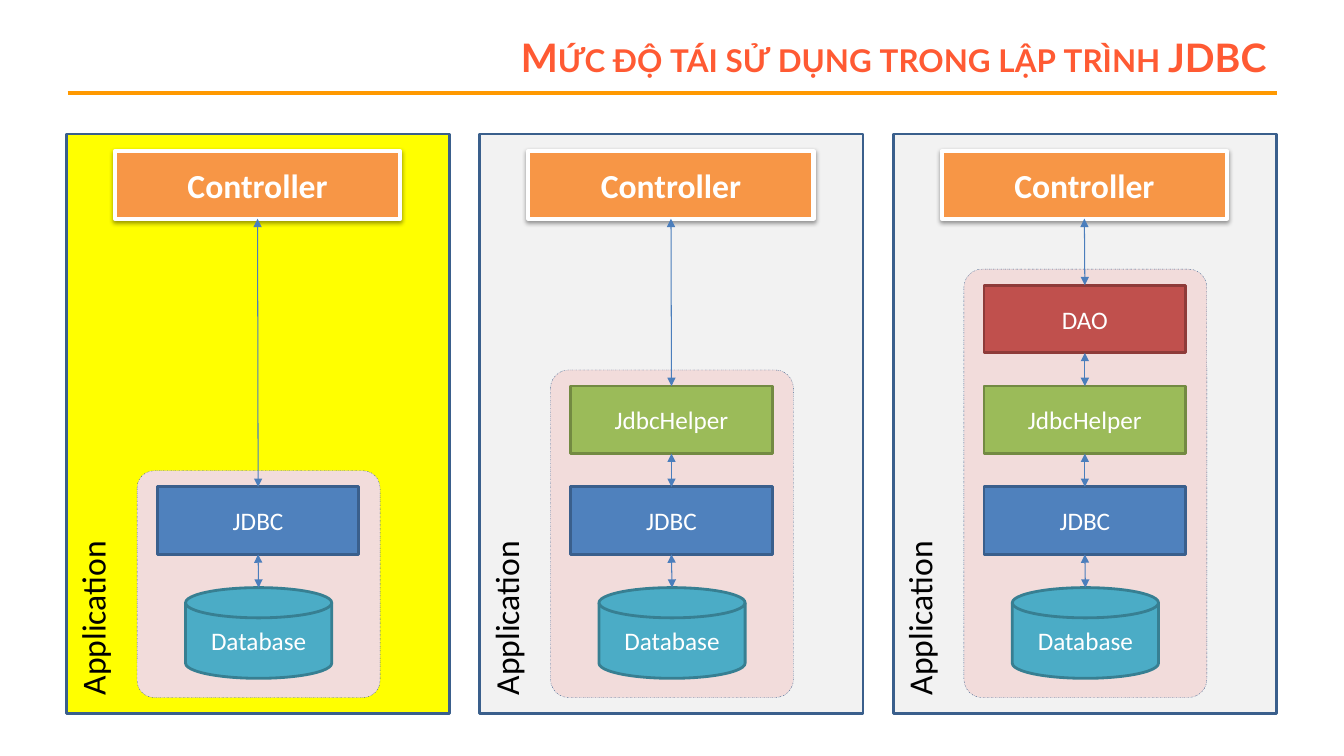
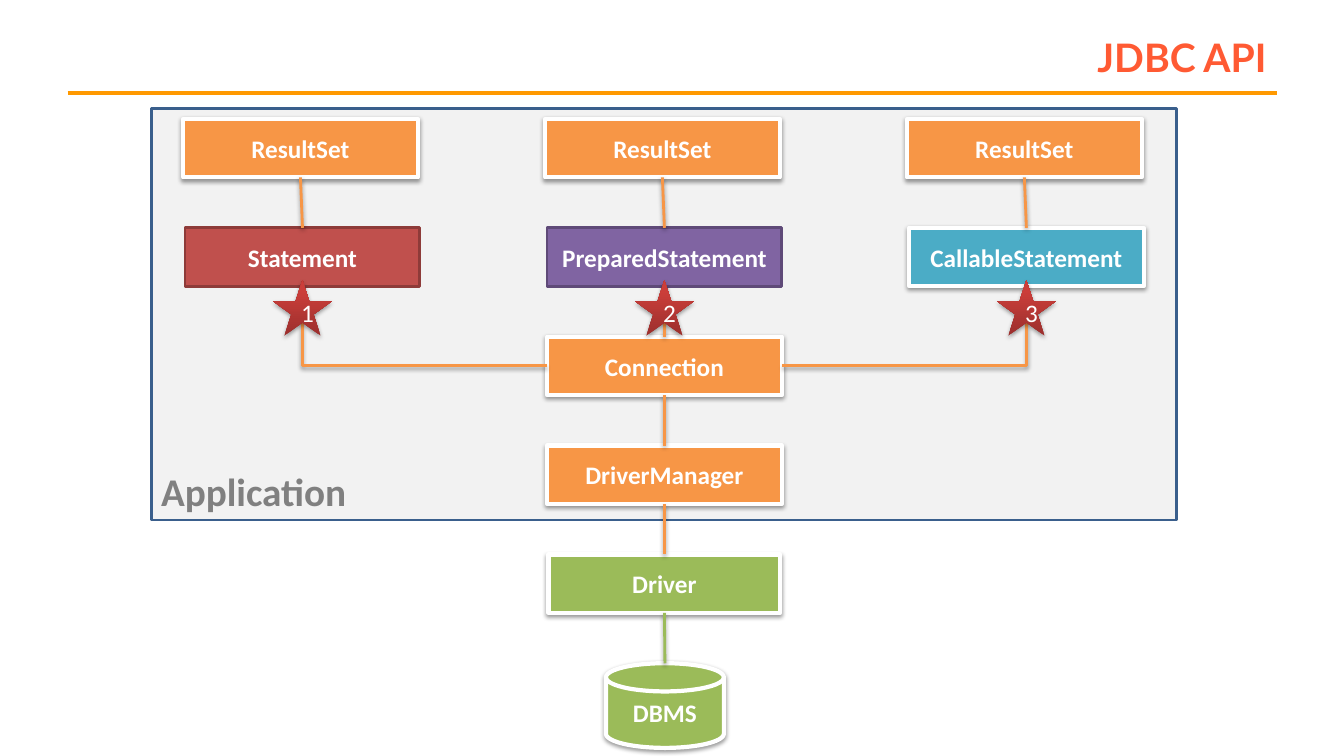
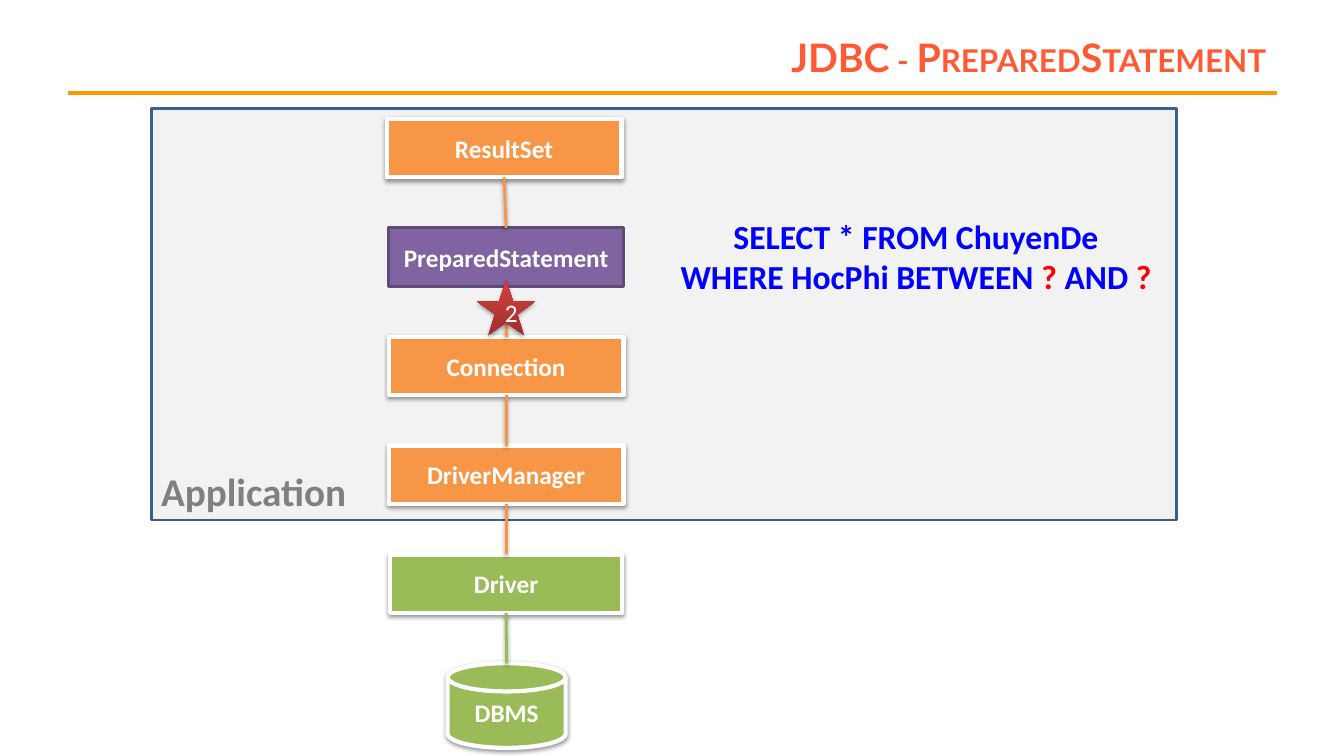
from collections import namedtuple

from lxml import etree
from pptx import Presentation
from pptx.dml.color import RGBColor
from pptx.enum.dml import MSO_LINE
from pptx.enum.shapes import MSO_CONNECTOR, MSO_SHAPE
from pptx.enum.text import MSO_ANCHOR, MSO_AUTO_SIZE, PP_ALIGN
from pptx.oxml.ns import qn
from pptx.util import Inches, Pt

RECT, ROUND = MSO_SHAPE.RECTANGLE, MSO_SHAPE.ROUNDED_RECTANGLE
DISK, STAR = MSO_SHAPE.FLOWCHART_MAGNETIC_DISK, MSO_SHAPE.STAR_5_POINT
STRAIGHT, ELBOW = MSO_CONNECTOR.STRAIGHT, MSO_CONNECTOR.ELBOW
LEFT, CENTER, RIGHT = PP_ALIGN.LEFT, PP_ALIGN.CENTER, PP_ALIGN.RIGHT
MIDDLE, TOP = MSO_ANCHOR.MIDDLE, MSO_ANCHOR.TOP
NO_FIT, DASH_DOT = MSO_AUTO_SIZE.NONE, MSO_LINE.DASH_DOT
TITLE_ONLY = 5
LEFT_SITE, BOTTOM_SITE, RIGHT_SITE = 1, 2, 3

Look = namedtuple("Look", "fill edge width shade")
Ink = namedtuple("Ink", "size color bold face", defaults=(False, "Calibri"))


def rgb(code):
    return RGBColor.from_string(code)


def flat(fill, edge):
    return Look(rgb(fill), rgb(edge), 2, False)


def raised(fill):
    return Look(rgb(fill), rgb("FFFFFF"), 3, True)


class Theme:
    rule = rgb("FF9900")
    arrow = rgb("4B7EBC")
    orange = rgb("F79646")
    green = rgb("9BBB59")
    mark = rgb("FF0000")
    dark, light = rgb("9C2F2D"), rgb("CB3E3A")

    gray_panel = flat("F2F2F2", "3A5F8C")
    hot_panel = flat("FFFF00", "3A5F8C")
    group = Look(rgb("F2DCDB"), rgb("3A5F8C"), 0.25, False)
    blue_box = flat("4F81BD", "3A5F8C")
    green_box = flat("9BBB59", "738A42")
    red_box = flat("C0504D", "8E3B39")
    violet_box = flat("8064A2", "5F4A78")
    teal_disk = flat("4BACC6", "377F92")
    orange_card = raised("F79646")
    green_card = raised("9BBB59")
    teal_card = raised("4BACC6")

    title = Ink(28, rgb("FF5A33"), True, "Lato")
    layer = Ink(18, rgb("FFFFFF"))
    card = Ink(18, rgb("FFFFFF"), True)
    head = Ink(24, rgb("FFFFFF"), True)
    side = Ink(24, rgb("000000"))
    corner = Ink(28, rgb("808080"), True)
    sql = Ink(24, rgb("0000FF"), True)


class Deck:
    def __init__(self):
        self.prs = Presentation()
        self.prs.slide_width = Inches(13.33)
        self.prs.slide_height = Inches(7.5)

    def page(self, title):
        layout = self.prs.slide_layouts[TITLE_ONLY]
        self.shapes = self.prs.slides.add_slide(layout).shapes
        self.line(STRAIGHT, [Inches(v) for v in (0.67, 0.92, 12.67, 0.92)],
                  Theme.rule, 3)
        head = self.shapes.title
        head.left, head.top = Inches(2.44), Inches(0.3)
        head.width, head.height = Inches(10.22), Inches(0.53)
        self.letter(head, [title], Theme.title, RIGHT)
        para = head.text_frame.paragraphs[0]
        para._p.pPr.find(qn("a:defRPr")).set("cap", "small")

    def letter(self, shape, lines, ink, align=CENTER, anchor=MIDDLE, wrap=True):
        """Fill a shape with lines; a question mark in a line is highlighted."""
        frame = shape.text_frame
        frame.word_wrap, frame.vertical_anchor = wrap, anchor
        frame.auto_size = NO_FIT
        for i, line in enumerate(lines):
            para = frame.add_paragraph() if i else frame.paragraphs[0]
            para.alignment = align
            font = para.font
            font.size, font.bold, font.name = Pt(ink.size), ink.bold, ink.face
            font.color.rgb = ink.color
            for j, part in enumerate(line.split("?")):
                if j:
                    run = para.add_run()
                    run.text = "?"
                    run.font.color.rgb = Theme.mark
                if part:
                    para.add_run().text = part

    def effect(self, shape, shade):
        """Replace the inherited shadow by a soft one below, or by none."""
        fx = etree.SubElement(shape._element.spPr, qn("a:effectLst"))
        if shade:
            drop = etree.SubElement(fx, qn("a:outerShdw"), blurRad="40000",
                                    dist="20000", dir="5400000", rotWithShape="0")
            color = etree.SubElement(drop, qn("a:srgbClr"), val="000000")
            etree.SubElement(color, qn("a:alpha"), val="38000")

    def box(self, kind, x, y, w, h, look, text="", ink=None):
        shape = self.shapes.add_shape(kind, Inches(x), Inches(y), Inches(w), Inches(h))
        shape.fill.solid()
        shape.fill.fore_color.rgb = look.fill
        shape.line.color.rgb = look.edge
        shape.line.width = Pt(look.width)
        self.effect(shape, look.shade)
        if text:
            self.letter(shape, [text], ink)
        return shape

    def star(self, cx, text):
        shape = self.shapes.add_shape(STAR, Inches(cx - 0.29), Inches(2.78),
                                      Inches(0.58), Inches(0.55))
        shape.fill.gradient()
        shape.fill.gradient_angle = 90
        low, high = shape.fill.gradient_stops
        low.color.rgb, low.position = Theme.dark, 0
        high.color.rgb, high.position = Theme.light, 0.8
        shape.line.fill.background()
        self.effect(shape, True)
        self.letter(shape, [text], Theme.layer)

    def note(self, x, y, w, h, lines, ink, align=LEFT):
        shape = self.shapes.add_textbox(Inches(x), Inches(y), Inches(w), Inches(h))
        self.letter(shape, lines, ink, align, TOP, wrap=False)
        return shape

    def line(self, kind, ends, color, width, shade=False, heads=False):
        line = self.shapes.add_connector(kind, *ends)
        line.line.color.rgb = color
        line.line.width = Pt(width)
        if heads:
            for end in ("a:headEnd", "a:tailEnd"):
                etree.SubElement(line._element.spPr.find(qn("a:ln")), qn(end),
                                 type="triangle")
        self.effect(line, shade)
        return line

    def link(self, upper, lower, *style, **more):
        """Join the bottom of one shape to the top of another."""
        ends = (upper.left + upper.width // 2, upper.top + upper.height,
                lower.left + lower.width // 2, lower.top)
        self.line(STRAIGHT, ends, *style, **more)

    def bend(self, start, site, end):
        """Join a side of one shape to the bottom of another by one corner."""
        line = self.line(ELBOW, (0, 0, 0, 0), Theme.orange, 2, shade=True)
        line.begin_connect(start, site)
        line.end_connect(end, BOTTOM_SITE)
        geom = line._element.spPr.find(qn("a:prstGeom"))
        geom.set("prst", "bentConnector2")


def stack(deck, x, look, layers):
    """Draw one application panel with its layers, listed from the top."""
    cx, top = x + 1.9, 5.83 - len(layers)
    deck.box(RECT, x, 1.33, 3.8, 5.75, look)
    group = deck.box(ROUND, cx - 1.2, top - 0.16, 2.41, 7.08 - top, Theme.group)
    group.adjustments[0] = 0.075
    group.line.dash_style = DASH_DOT
    chain = [deck.box(RECT, cx - 1.42, 1.5, 2.83, 0.67, Theme.orange_card,
                      "Controller", Theme.head)]
    for i, (name, tint) in enumerate(layers):
        chain.append(deck.box(RECT, cx - 1, top + i, 2, 0.67, tint, name, Theme.layer))
    chain.append(deck.box(DISK, cx - 0.72, 5.83, 1.45, 0.9, Theme.teal_disk,
                          "Database", Theme.layer))
    for upper, lower in zip(chain, chain[1:]):
        deck.link(upper, lower, Theme.arrow, 0.75, heads=True)
    deck.note(x - 0.62, 5.87, 1.75, 0.5, ["Application"], Theme.side).rotation = 270


def frame(deck, title):
    deck.page(title)
    deck.box(RECT, 1.5, 1.08, 10.17, 4.08, Theme.gray_panel)
    deck.note(1.5, 4.59, 2.06, 0.57, ["Application"], Theme.corner)


def card(deck, cx, row, look, text, width=2.33):
    return deck.box(RECT, cx - width / 2, 1.18 + 1.08 * row, width, 0.58, look,
                    text, Theme.card)


def query(deck, cx, name, look):
    """Draw a result set above its statement, and return the statement."""
    result = card(deck, cx - 0.02, 0, Theme.orange_card, "ResultSet")
    state = card(deck, cx, 1, look, name)
    deck.link(result, state, Theme.orange, 2, shade=True)
    return state


def spine(deck, cx, state):
    """Draw the way from a statement to the database; return the connection."""
    conn = card(deck, cx, 2, Theme.orange_card, "Connection")
    boss = card(deck, cx, 3, Theme.orange_card, "DriverManager")
    driver = card(deck, cx, 4, Theme.green_card, "Driver", 2.3)
    disk = deck.box(DISK, cx - 0.58, 6.58, 1.17, 0.84, Theme.green_card, "DBMS",
                    Theme.card)
    for upper, lower in ((state, conn), (conn, boss), (boss, driver)):
        deck.link(upper, lower, Theme.orange, 2, shade=True)
    deck.link(driver, disk, Theme.green, 2, shade=True)
    return conn


def main():
    deck = Deck()

    deck.page("Mức độ tái sử dụng trong lập trình JDBC")
    layers = [("DAO", Theme.red_box), ("JdbcHelper", Theme.green_box),
              ("JDBC", Theme.blue_box)]
    for i, look in enumerate((Theme.hot_panel, Theme.gray_panel, Theme.gray_panel)):
        stack(deck, 0.66 + 4.1 * i, look, layers[2 - i:])

    frame(deck, "JDBC API")
    kinds = [("Statement", Theme.red_box), ("PreparedStatement", Theme.violet_box),
             ("CallableStatement", Theme.teal_card)]
    mids = [3 + 3.59 * i for i in range(3)]
    first, second, third = [query(deck, cx, *kind) for cx, kind in zip(mids, kinds)]
    conn = spine(deck, mids[1], second)
    deck.bend(conn, LEFT_SITE, first)
    deck.bend(conn, RIGHT_SITE, third)
    for i, cx in enumerate(mids, 1):
        deck.star(cx, str(i))

    frame(deck, "JDBC - PreparedStatement")
    mid = 5.02
    spine(deck, mid, query(deck, mid, *kinds[1]))
    deck.star(mid, "2")
    sql = deck.note(6.63, 2.09, 4.91, 0.91,
                    ["SELECT * FROM ChuyenDe", "WHERE HocPhi BETWEEN ? AND ?"],
                    Theme.sql, CENTER)
    sql.fill.solid()
    sql.fill.fore_color.rgb = Theme.gray_panel.fill

    deck.prs.save("out.pptx")


if __name__ == "__main__":
    main()
